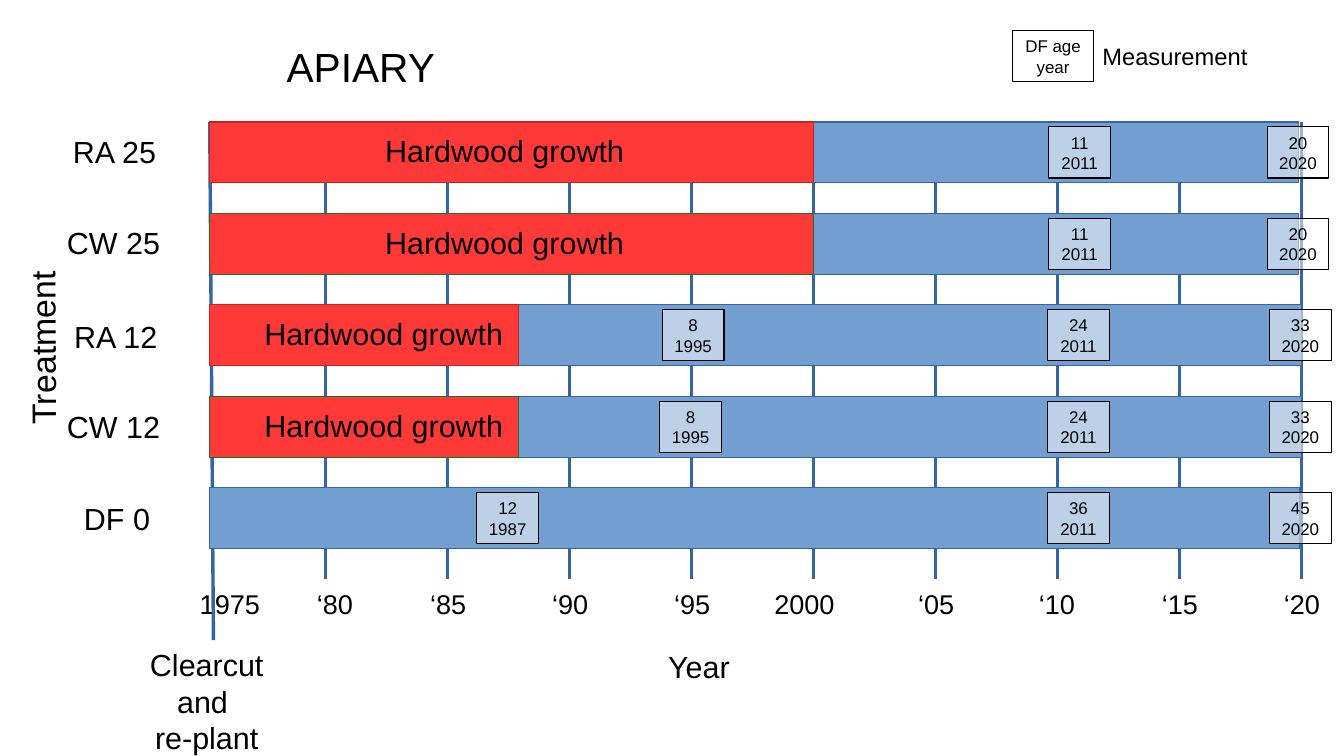
from dataclasses import dataclass

from lxml.etree import SubElement
from pptx import Presentation
from pptx.dml.color import RGBColor
from pptx.enum.shapes import MSO_CONNECTOR, MSO_SHAPE
from pptx.enum.text import MSO_ANCHOR, MSO_AUTO_SIZE, PP_ALIGN
from pptx.oxml.ns import qn
from pptx.shapes.autoshape import Shape
from pptx.slide import Slide
from pptx.text.text import TextFrame
from pptx.util import Pt

COLORS = {"black": "000000", "white": "FFFFFF", "red": "FF3838", "red_line": "C9211E",
          "green_line": "127622", "blue": "729FCF", "blue_line": "3465A4"}
FONT = "Arial"
BAR_LEFT, BAR_TOP, BAR_H, ROW_STEP = 123.84, 72, 36, 54
YEAR_W, X_1980, AXIS_BOTTOM = 14.4, 192.24, 342
LABEL_H = 27.4


@dataclass(frozen=True)
class Mark:
    left: float
    age: str
    year: str


@dataclass(frozen=True)
class Treatment:
    name: str
    label_left: float
    label_drop: float
    split: float
    end: float
    hardwood_line: str
    hardwood_left: float
    marks: tuple[Mark, ...]


@dataclass(frozen=True)
class YearLabel:
    text: str
    year: int
    shift: float = 17.3
    width: float = 38.2


TREATMENTS = [
    Treatment("RA 25", 36, 2.9, 480.24, 766.8, "red_line", 220.3,
              (Mark(748.1, "20", "2020"), Mark(619.2, "11", "2011"))),
    Treatment("CW 25", 32.4, 2.9, 480.24, 766.8, "green_line", 220.3,
              (Mark(748.1, "20", "2020"), Mark(619.2, "11", "2011"))),
    Treatment("RA 12", 36.7, 4.3, 306, 768.24, "red_line", 149,
              (Mark(749.5, "33", "2020"), Mark(618.5, "24", "2011"), Mark(391, "8", "1995"))),
    Treatment("CW 12", 32.4, 3.6, 306, 768.24, "green_line", 149,
              (Mark(749.5, "33", "2020"), Mark(618.5, "24", "2011"), Mark(389.5, "8", "1995"))),
    Treatment("DF 0", 42.5, 3.6, BAR_LEFT, 767.5, "", 0,
              (Mark(749.5, "45", "2020"), Mark(618.5, "36", "2011"), Mark(281.5, "12", "1987"))),
]
YEARS = [
    YearLabel("1975", 1975, 9.4, 54), YearLabel("‘80", 1980, 12.2), YearLabel("‘85", 1985),
    YearLabel("‘90", 1990), YearLabel("‘95", 1995), YearLabel("2000", 2000, 30.2, 54),
    YearLabel("‘05", 2005), YearLabel("‘10", 2010, 18, 41.8), YearLabel("‘15", 2015),
    YearLabel("‘20", 2020),
]


def year_x(year: int) -> float:
    return X_1980 + (year - 1980) * YEAR_W


def write(tf: TextFrame, lines: list[str], size: float, align: PP_ALIGN) -> None:
    for i, line in enumerate(lines):
        p = tf.paragraphs[0] if i == 0 else tf.add_paragraph()
        p.alignment = align
        for j, part in enumerate(line.split("\n")):
            if j:
                p.add_line_break()
            r = p.add_run()
            r.text = part
            r.font.size = Pt(size)
            r.font.name = FONT
            r.font.color.rgb = RGBColor.from_string(COLORS["black"])


def add_text(s: Slide, left: float, top: float, width: float, height: float, text: str,
             size: float = 18, align: PP_ALIGN = PP_ALIGN.LEFT) -> Shape:
    sp = s.shapes.add_textbox(Pt(left), Pt(top), Pt(width), Pt(height))
    sp.text_frame.word_wrap = True
    write(sp.text_frame, [text], size, align)
    return sp


def add_rect(s: Slide, left: float, top: float, width: float, height: float,
             fill: str, line: str) -> Shape:
    sp = s.shapes.add_shape(MSO_SHAPE.RECTANGLE, Pt(left), Pt(top), Pt(width), Pt(height))
    sp.shadow.inherit = False
    sp.fill.solid()
    sp.fill.fore_color.rgb = RGBColor.from_string(COLORS[fill])
    sp.line.color.rgb = RGBColor.from_string(COLORS[line])
    sp.line.width = Pt(0)
    return sp


def add_mark(s: Slide, left: float, top: float, width: float, lines: list[str]) -> None:
    sp = add_rect(s, left, top, width, 30.2, "white", "black")
    clr = sp.element.spPr.find(qn("a:solidFill")).find(qn("a:srgbClr"))
    SubElement(clr, qn("a:alpha")).set("val", "53000")
    tf = sp.text_frame
    tf.word_wrap = False
    tf.vertical_anchor = MSO_ANCHOR.MIDDLE
    write(tf, lines, 10, PP_ALIGN.CENTER)


def add_line(s: Slide, x1: float, y1: float, x2: float, y2: float) -> None:
    sp = s.shapes.add_connector(MSO_CONNECTOR.STRAIGHT, Pt(x1), Pt(y1), Pt(x2), Pt(y2))
    sp.line.color.rgb = RGBColor.from_string(COLORS["blue_line"])
    sp.line.width = Pt(0)
    SubElement(sp.element.spPr, qn("a:effectLst"))


def add_title(s: Slide, text: str) -> None:
    sp = s.shapes.title
    sp.left, sp.top, sp.width, sp.height = Pt(162), Pt(20.9), Pt(108), Pt(LABEL_H)
    tf = sp.text_frame
    tf.auto_size = MSO_AUTO_SIZE.NONE
    tf.word_wrap = True
    tf.vertical_anchor = MSO_ANCHOR.TOP
    write(tf, [text], 24, PP_ALIGN.LEFT)


def add_axis(s: Slide) -> None:
    for label in YEARS:
        x = year_x(label.year)
        if label.year > 1975:
            add_line(s, x, BAR_TOP, x, AXIS_BOTTOM)
        add_text(s, x - label.shift, 343.4, label.width, LABEL_H, label.text, 16)
    add_line(s, BAR_LEFT, BAR_TOP, 126, 378)
    add_text(s, 387.4, 379.4, 62.6, LABEL_H, "Year")
    sp = add_text(s, -31, 187.9, 110.2, 29.5, "Treatment", 20)
    sp.rotation = 269.7


def add_treatment(s: Slide, t: Treatment, top: float) -> None:
    add_text(s, t.label_left, top + t.label_drop, 90, LABEL_H, t.name)
    add_rect(s, t.split, top, t.end - t.split, BAR_H, "blue", "blue_line")
    for mark in t.marks:
        add_mark(s, mark.left, top + 2.9, 36.4, [mark.age, mark.year])
    if t.hardwood_line:
        add_rect(s, BAR_LEFT, top, t.split - BAR_LEFT, BAR_H, "red", t.hardwood_line)
        add_text(s, t.hardwood_left, top + 2.7, 160.6, LABEL_H, "Hardwood growth")


def main() -> None:
    """Build the apiary treatment timeline slide."""
    prs = Presentation()
    prs.slide_width, prs.slide_height = Pt(793.44), Pt(446.4)
    s = prs.slides.add_slide(prs.slide_layouts[5])
    add_title(s, "APIARY")
    add_axis(s)
    for i, t in enumerate(TREATMENTS):
        add_treatment(s, t, BAR_TOP + i * ROW_STEP)
    add_mark(s, 597.6, 18, 48.2, ["DF age", "year"])
    add_text(s, 643.7, 20.9, 110.2, LABEL_H, "Measurement", 14)
    add_text(s, 64.1, 378, 115.9, 67.7, "Clearcut and \nre-plant", 18, PP_ALIGN.CENTER)
    prs.save("out.pptx")


if __name__ == "__main__":
    main()
